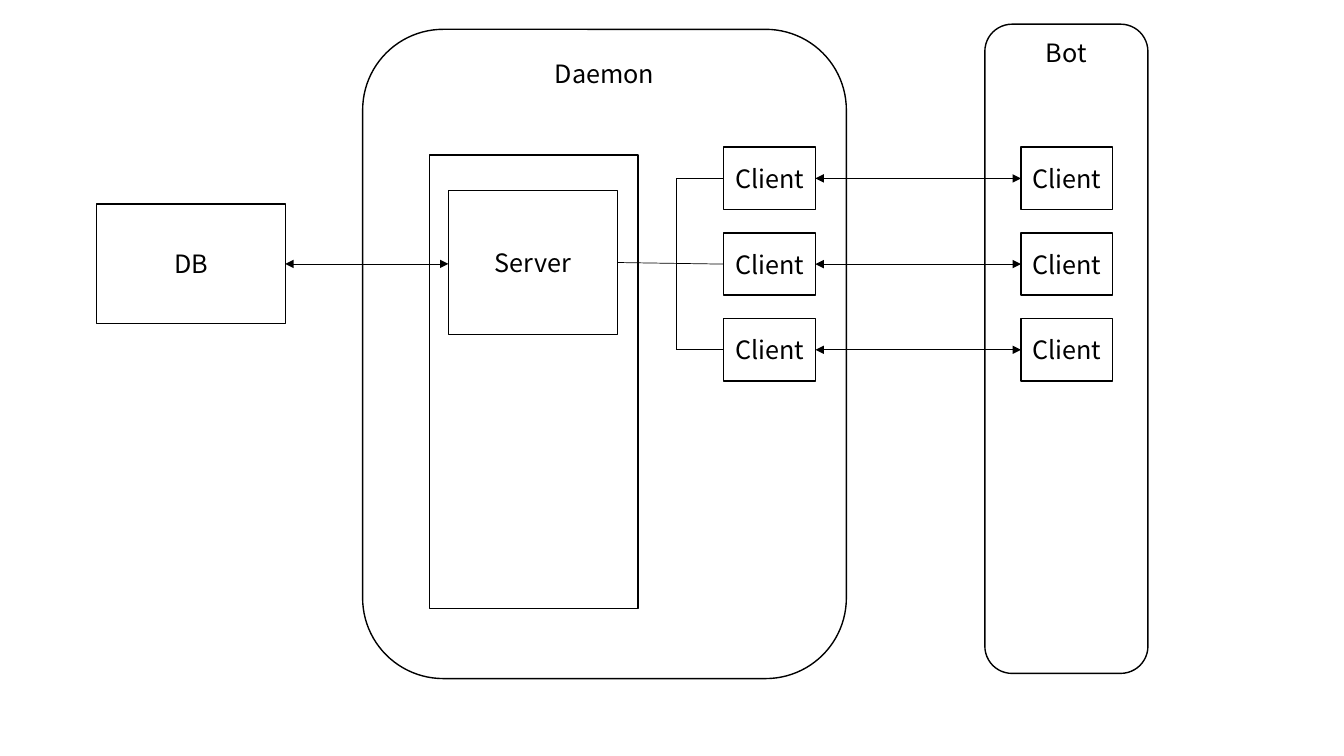
from pptx import Presentation
from pptx import util as u
from pptx.dml import color
from pptx.enum import shapes, text
from pptx.oxml import ns
from lxml import etree

BLACK = color.RGBColor(0, 0, 0)
WHITE = color.RGBColor(255, 255, 255)
FONT = "Noto Sans CJK KR"
RECT = shapes.MSO_SHAPE.RECTANGLE
ROUND = shapes.MSO_SHAPE.ROUNDED_RECTANGLE
CLIENT_W, CLIENT_H, CLIENT_PITCH = 2.31, 1.57, 2.16


def add_box(s, x, y, w, h, label="", kind=RECT):
    """Draw an outlined box, labelled at the top if rounded, else in the middle."""
    sp = s.shapes.add_shape(kind, u.Cm(x), u.Cm(y), u.Cm(w), u.Cm(h))
    sp.shadow.inherit = False
    sp.fill.solid()
    sp.fill.fore_color.rgb = WHITE
    sp.line.color.rgb = BLACK
    sp.line.width = u.Pt(1)
    if label:
        tf = sp.text_frame
        tf.text = label
        tf.word_wrap = True
        tf.margin_left = tf.margin_right = 0
        tf.vertical_anchor = (text.MSO_ANCHOR.TOP if kind == ROUND
                              else text.MSO_ANCHOR.MIDDLE)
        p = tf.paragraphs[0]
        p.alignment = text.PP_ALIGN.CENTER
        font = p.runs[0].font
        font.size = u.Pt(18)
        font.name = FONT
        font.color.rgb = BLACK
        r_pr = p.runs[0].font._element
        etree.SubElement(r_pr, ns.qn("a:ea"), typeface=FONT)
    return sp


def left(sp):
    """Return the middle of the left edge."""
    return sp.left, sp.top + sp.height // 2


def right(sp):
    """Return the middle of the right edge."""
    return sp.left + sp.width, sp.top + sp.height // 2


def add_line(s, start, end, arrows=False):
    """Draw a thin straight connector, with arrowheads at both ends if asked."""
    c = s.shapes.add_connector(shapes.MSO_CONNECTOR.STRAIGHT, *start, *end)
    c.line.color.rgb = BLACK
    c.line.width = u.Pt(0.5)
    if arrows:
        ln = c.line._get_or_add_ln()
        for tag in ("a:headEnd", "a:tailEnd"):
            etree.SubElement(ln, ns.qn(tag), type="triangle")
    etree.SubElement(c._element.spPr, ns.qn("a:effectLst"))


def add_clients(s, x, y):
    """Stack three equally spaced client boxes."""
    return [add_box(s, x, y + i * CLIENT_PITCH, CLIENT_W, CLIENT_H, "Client")
            for i in range(3)]


def add_bot(s, x, y, w, h):
    """Draw the bot and return its clients."""
    add_box(s, x, y, w, h, "Bot", ROUND)
    return add_clients(s, x + 0.91, y + 3.1)


def add_daemon(s, x, y, w, h):
    """Draw the daemon and return its server and clients."""
    add_box(s, x, y, w, h, "Daemon", ROUND)
    add_box(s, x + 1.68, y + 3.17, 5.26, 11.43)
    server = add_box(s, x + 2.16, y + 4.06, 4.27, 3.63, "Server")
    clients = add_clients(s, x + 9.1, y + 2.97)
    first, middle, last = (left(sp) for sp in clients)
    bus_x = u.Cm(x + 7.9)
    add_line(s, right(server), middle)
    for end in (first, last):
        add_line(s, end, (bus_x, end[1]))
    add_line(s, (bus_x, first[1]), (bus_x, last[1]))
    return server, clients


def add_architecture(s):
    """Place the database, daemon and bot and link them."""
    bot_clients = add_bot(s, 24.82, 0.61, 4.11, 16.36)
    server, daemon_clients = add_daemon(s, 9.14, 0.74, 12.19, 16.36)
    for ours, theirs in zip(daemon_clients, bot_clients):
        add_line(s, right(ours), left(theirs), arrows=True)
    db = add_box(s, 2.44, 5.14, 4.75, 3.02, "DB")
    add_line(s, (server.left, right(db)[1]), right(db), arrows=True)


prs = Presentation()
prs.slide_width, prs.slide_height = u.Cm(33.87), u.Cm(19.05)
add_architecture(prs.slides.add_slide(prs.slide_layouts[6]))
prs.save("out.pptx")
